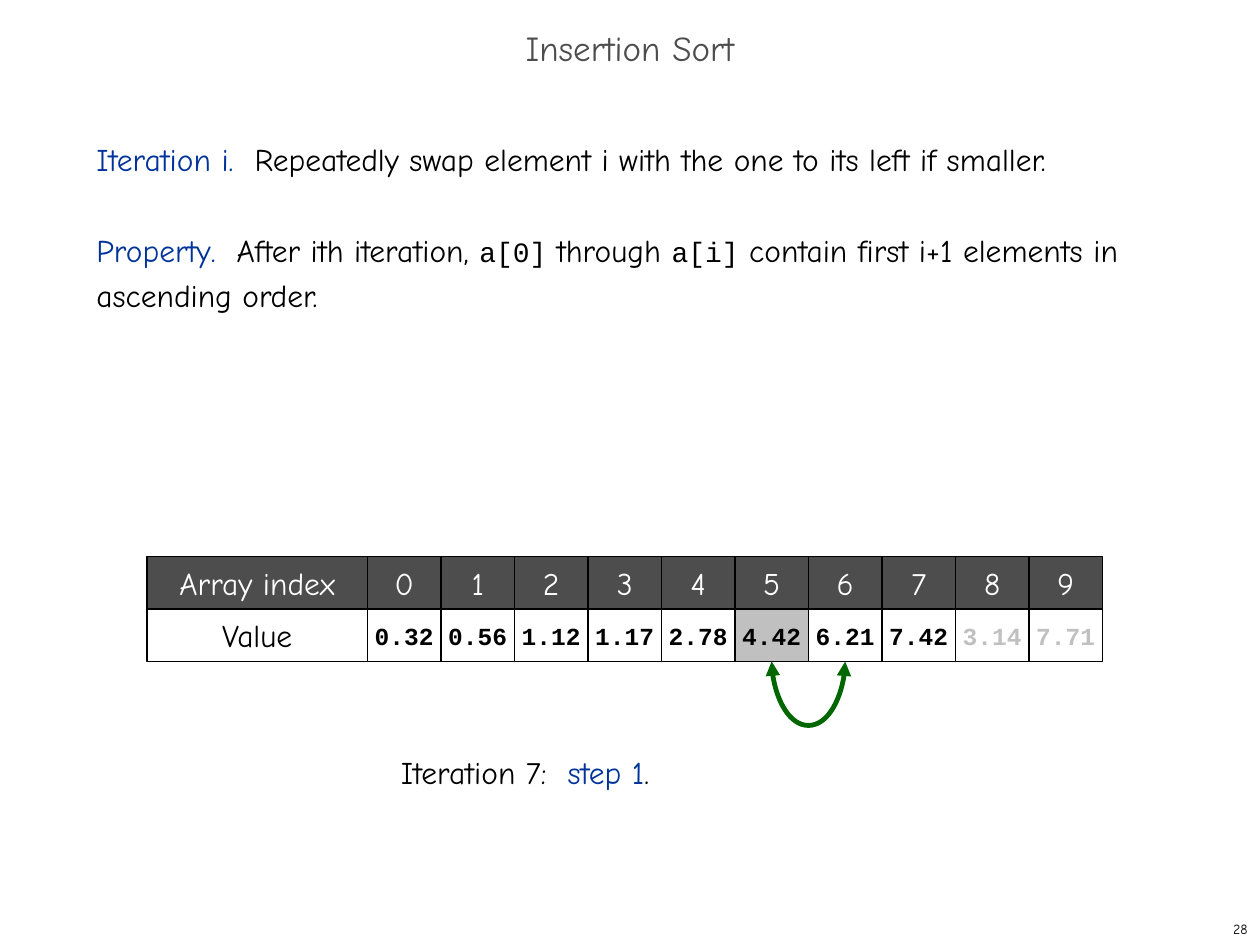
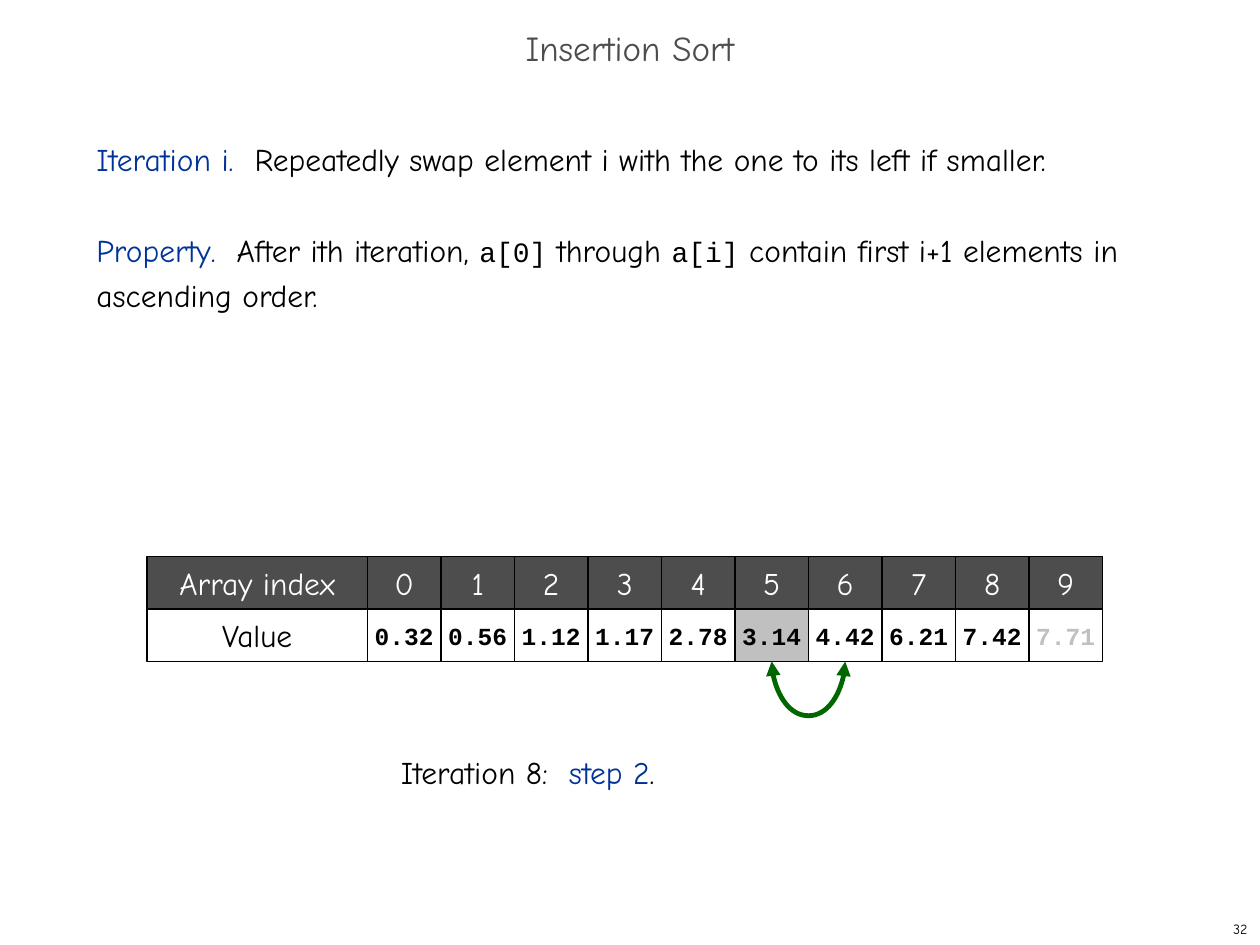
from lxml import etree
from pptx import Presentation
from pptx.dml.color import RGBColor
from pptx.enum import shapes, text
from pptx.oxml import ns
from pptx.util import Pt

# Shared colours and fonts
INK, WHITE, SILVER = "000000", "FFFFFF", "C0C0C0"
CHARCOAL, BLUE, GREEN = "4D4D4D", "003399", "006600"
HAND, MONO = "Comic Neue", "Courier New"

# Text formats
BODY = {"name": HAND, "size": Pt(18)}
CODE = {"name": MONO, "size": Pt(16)}
VALUE = {"name": MONO, "size": Pt(14), "bold": True}
TITLE = {"name": HAND, "size": Pt(20)}
FOOTER = {"name": HAND, "size": Pt(8)}

# Array grid, in points
SLIDE_WIDTH, SLIDE_HEIGHT = 720, 540
ARRAY_LEFT, ARRAY_TOP = 84, 318
LABEL_WIDTH, CELL_WIDTH, ROW_HEIGHT = 126, 42, 30

# What differs between the slides
STEPS = [
    {"page": "28", "iteration": 7, "step": 1, "swap_left": 5, "bend": 323,
     "values": "0.32 0.56 1.12 1.17 2.78 4.42 6.21 7.42 3.14 7.71".split()},
    {"page": "32", "iteration": 8, "step": 2, "swap_left": 5, "bend": 274,
     "values": "0.32 0.56 1.12 1.17 2.78 3.14 4.42 6.21 7.42 7.71".split()},
]


def rgb(hex_string):
    return RGBColor.from_string(hex_string)


def set_all(target, formats):
    for key, value in formats.items():
        setattr(target, key, value)


def add_runs(paragraph, runs):
    """Each run is (wording, colour, format)."""
    for wording, colour, formats in runs:
        run = paragraph.add_run()
        run.text = wording
        set_all(run.font, formats)
        run.font.color.rgb = rgb(colour)


def add_text(slide, box, paragraphs, anchor=text.MSO_ANCHOR.TOP, **layout):
    frame = slide.shapes.add_textbox(*map(Pt, box)).text_frame
    set_all(frame, {"word_wrap": True, "vertical_anchor": anchor})
    for number, runs in enumerate(paragraphs):
        paragraph = frame.add_paragraph() if number else frame.paragraphs[0]
        set_all(paragraph, layout)
        add_runs(paragraph, runs)
    return frame


def add_cell(slide, box, wording, formats, colour, fill):
    cell = slide.shapes.add_shape(shapes.MSO_SHAPE.RECTANGLE, *map(Pt, box))
    cell.shadow.inherit = False
    cell.fill.solid()
    cell.fill.fore_color.rgb = rgb(fill)
    cell.line.color.rgb = rgb(INK)
    cell.line.width = Pt(0.75)
    set_all(cell.text_frame, {"word_wrap": False,
                              "vertical_anchor": text.MSO_ANCHOR.MIDDLE})
    paragraph = cell.text_frame.paragraphs[0]
    paragraph.alignment = text.PP_ALIGN.CENTER
    add_runs(paragraph, [(wording, colour, formats)])


def index_left(index):
    return ARRAY_LEFT + LABEL_WIDTH + index * CELL_WIDTH


def add_array(slide, values, sorted_to, swap_left):
    value_top = ARRAY_TOP + ROW_HEIGHT
    for label, top, colour, fill in (("Array index", ARRAY_TOP, WHITE, CHARCOAL),
                                     ("Value", value_top, INK, WHITE)):
        add_cell(slide, (ARRAY_LEFT, top, LABEL_WIDTH, ROW_HEIGHT),
                 label, BODY, colour, fill)
    for index, value in enumerate(values):
        left = index_left(index)
        add_cell(slide, (left, ARRAY_TOP, CELL_WIDTH, ROW_HEIGHT),
                 str(index), BODY, WHITE, CHARCOAL)
        add_cell(slide, (left, value_top, CELL_WIDTH, ROW_HEIGHT), value, VALUE,
                 INK if index <= sorted_to else SILVER,
                 SILVER if index == swap_left else WHITE)


def add_swap_arrow(slide, swap_left, bend):
    """U-shaped arrow: an upright curve, turned to hang below two cells."""
    middle = index_left(swap_left + 1)
    bottom = ARRAY_TOP + 2 * ROW_HEIGHT
    thin, half = 0.12, CELL_WIDTH / 2
    arrow = slide.shapes.add_connector(
        shapes.MSO_CONNECTOR.CURVE, Pt(middle + thin / 2), Pt(bottom - half),
        Pt(middle - thin / 2), Pt(bottom + half))
    arrow.line.color.rgb = rgb(GREEN)
    arrow.line.width = Pt(2.75)

    # Turn, depth of the bend, arrowheads, no shadow
    properties = arrow._element.spPr
    properties.find(ns.qn("a:xfrm")).set("rot", "16200000")
    guides = properties.find(ns.qn("a:prstGeom")).get_or_add_avLst()
    etree.SubElement(guides, ns.qn("a:gd"), name="adj1", fmla=f"val {bend * 100000}")
    for end in ("a:headEnd", "a:tailEnd"):
        etree.SubElement(arrow.line._ln, ns.qn(end), type="triangle")
    etree.SubElement(properties, ns.qn("a:effectLst"))


def add_frame(slide, page):
    """Title and page number."""
    add_text(slide, (0, 12, SLIDE_WIDTH, 36), [[("Insertion Sort", CHARCOAL, TITLE)]],
             text.MSO_ANCHOR.MIDDLE, alignment=text.PP_ALIGN.CENTER, line_spacing=0.7)
    add_text(slide, (570, 522, 150, 18), [[(page, INK, FOOTER)]],
             text.MSO_ANCHOR.MIDDLE, alignment=text.PP_ALIGN.RIGHT)


def add_explanation(slide):
    rule = [("Iteration i.  ", BLUE, BODY),
            ("Repeatedly swap element i with the one to its left if smaller.", INK, BODY)]
    invariant = [("Property.  ", BLUE, BODY), ("After ith iteration, ", INK, BODY),
                 ("a[0]", INK, CODE), (" through ", INK, BODY), ("a[i]", INK, CODE),
                 (" contain first i+1 elements in ascending order.", INK, BODY)]
    frame = add_text(slide, (48, 72, 636, 426), [rule, invariant], line_spacing=Pt(26))
    frame.paragraphs[1].space_before = Pt(26)


def add_caption(slide, iteration, step):
    add_text(slide, (222, 427, 294, 29),
             [[(f"Iteration {iteration}:  ", INK, BODY),
               (f"step {step}", BLUE, BODY), (".", INK, BODY)]])


def main():
    deck = Presentation()
    set_all(deck, {"slide_width": Pt(SLIDE_WIDTH), "slide_height": Pt(SLIDE_HEIGHT)})
    for state in STEPS:
        slide = deck.slides.add_slide(deck.slide_layouts[6])
        add_frame(slide, state["page"])
        add_explanation(slide)
        add_array(slide, state["values"], state["iteration"], state["swap_left"])
        add_swap_arrow(slide, state["swap_left"], state["bend"])
        add_caption(slide, state["iteration"], state["step"])
    deck.save("out.pptx")


if __name__ == "__main__":
    main()
